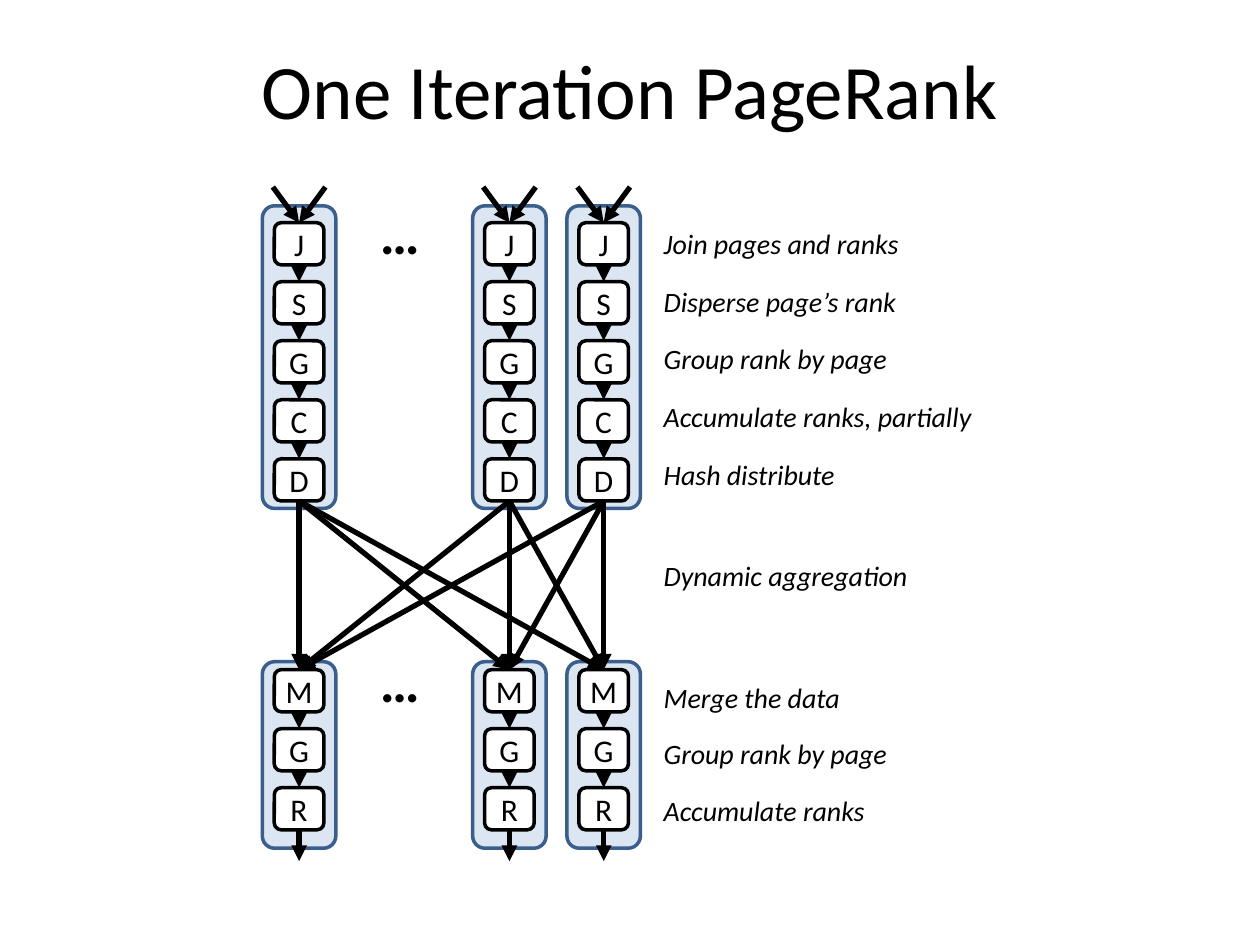
from dataclasses import dataclass
from itertools import pairwise, product

from lxml import etree
from pptx import Presentation
from pptx.dml.color import RGBColor
from pptx.enum import shapes, text
from pptx.oxml import ns
from pptx.util import Cm, Pt


@dataclass(frozen=True)
class Theme:
    """Colours, font and sizes used on the slide."""
    font: str = "Calibri"
    ink: str = "000000"
    paper: str = "FFFFFF"
    panel: str = "DCE6F2"
    panel_edge: str = "3A5F8C"
    title: int = 44
    dots: int = 32
    stage: int = 18
    label: int = 16
    outline: int = 2
    arrow: int = 3


class Diagram:
    """Draws the elements of a dataflow diagram on one slide; lengths in cm."""

    def __init__(self, slide, theme):
        """Keep the slide and its style."""
        self.slide, self.theme = slide, theme

    def words(self, frame, wording, size, align=text.PP_ALIGN.LEFT, **style):
        """Add one formatted run to a text frame."""
        paragraph = frame.paragraphs[0]
        paragraph.alignment = align
        run = paragraph.add_run()
        run.text = wording
        run.font.name, run.font.size = self.theme.font, Pt(size)
        run.font.color.rgb = RGBColor.from_string(self.theme.ink)
        for key, value in style.items():
            setattr(run.font, key, value)

    def title(self, wording):
        """Place and fill the title placeholder."""
        holder = self.slide.shapes.title
        holder.left, holder.top = Cm(1.27), Cm(0.2)
        holder.width, holder.height = Cm(22.86), Cm(3.18)
        holder.text_frame.vertical_anchor = text.MSO_ANCHOR.MIDDLE
        self.words(holder.text_frame, wording, self.theme.title, text.PP_ALIGN.CENTER)

    def rounded(self, center, top, width, height, fill, edge):
        """Add a rounded rectangle centred on a column."""
        box = self.slide.shapes.add_shape(
            shapes.MSO_SHAPE.ROUNDED_RECTANGLE,
            Cm(center - width / 2), Cm(top), Cm(width), Cm(height))
        box.shadow.inherit = False
        box.fill.solid()
        box.fill.fore_color.rgb = RGBColor.from_string(fill)
        box.line.color.rgb = RGBColor.from_string(edge)
        box.line.width = Pt(self.theme.outline)
        return box

    def stage(self, center, top, letter):
        """Add a white box with the letter of a processing stage."""
        box = self.rounded(center, top, BOX_W, BOX_H, self.theme.paper, self.theme.ink)
        frame = box.text_frame
        frame.word_wrap = False
        frame.vertical_anchor = text.MSO_ANCHOR.MIDDLE
        frame.margin_left = frame.margin_right = 0
        frame.margin_top = frame.margin_bottom = 0
        self.words(frame, letter, self.theme.stage, text.PP_ALIGN.CENTER)
        return box

    def arrow(self, start=(0, 0), end=(0, 0), source=None, target=None):
        """Add an arrow between points, or glued to a box bottom or top."""
        line = self.slide.shapes.add_connector(
            shapes.MSO_CONNECTOR.STRAIGHT, *(Cm(v) for v in (*start, *end)))
        if source is not None:
            line.begin_connect(source, BOTTOM)
        if target is not None:
            line.end_connect(target, TOP)
        line.line.color.rgb = RGBColor.from_string(self.theme.ink)
        line.line.width = Pt(self.theme.arrow)
        properties = line._element.spPr
        etree.SubElement(properties.find(ns.qn("a:ln")), ns.qn("a:tailEnd"), type="triangle")
        etree.SubElement(properties, ns.qn("a:effectLst"))

    def note(self, left, top, width, height, wording, size, **style):
        """Add a free text that stays on one line."""
        box = self.slide.shapes.add_textbox(Cm(left), Cm(top), Cm(width), Cm(height))
        box.text_frame.word_wrap = False
        self.words(box.text_frame, wording, size, **style)

    def chain(self, center, panel_top, panel_height, first_top, letters):
        """Add a panel with a chain of stages and return its first and last."""
        self.rounded(center, panel_top, PANEL_W, panel_height,
                     self.theme.panel, self.theme.panel_edge)
        stages = [self.stage(center, first_top + row * STEP, letter)
                  for row, letter in enumerate(letters)]
        for upper, lower in pairwise(stages):
            self.arrow(source=upper, target=lower)
        return stages[0], stages[-1]


TOP, BOTTOM = 0, 2  # connection sites of a rounded rectangle
COLUMNS = (6.03, 10.27, 12.17)
PANEL_W, BOX_W, BOX_H, STEP = 1.48, 1.0, 0.85, 1.19
INPUT_TOP, INPUT_SPREAD, OUTPUT_END = 3.77, 0.53, 17.36
LABEL_LEFT = 13.13
LABEL_GROUPS = (
    (4.45, 1.16, ("Join pages and ranks", "Disperse page’s rank", "Group rank by page",
                  "Accumulate ranks, partially", "Hash distribute")),
    (11.13, 0, ("Dynamic aggregation",)),
    (13.59, 1.14, ("Merge the data", "Group rank by page", "Accumulate ranks")),
)


def main():
    """Build the slide and save it."""
    deck = Presentation()
    deck.slide_width, deck.slide_height = Cm(25.4), Cm(19.05)
    theme = Theme()
    diagram = Diagram(deck.slides.add_slide(deck.slide_layouts[5]), theme)
    diagram.title("One Iteration PageRank")

    distributors, mergers = [], []
    for center in COLUMNS:
        join, distribute = diagram.chain(center, 4.15, 6.1, 4.49, "JSGCD")
        merge, reduce_stage = diagram.chain(center, 13.34, 3.76, 13.5, "MGR")
        for side in (-1, 1):
            diagram.arrow(start=(center + side * INPUT_SPREAD, INPUT_TOP), target=join)
        diagram.arrow(end=(center, OUTPUT_END), source=reduce_stage)
        distributors.append(distribute)
        mergers.append(merge)
    for distribute, merge in product(distributors, mergers):
        diagram.arrow(source=distribute, target=merge)

    for top in (3.88, 12.91):
        diagram.note(7.41, top, 1.32, 1.62, "…", theme.dots, bold=True)
    for first_top, step, labels in LABEL_GROUPS:
        for row, label in enumerate(labels):
            diagram.note(LABEL_LEFT, first_top + row * step, 6.8, 0.94, label,
                         theme.label, italic=True)
    deck.save("out.pptx")


main()
